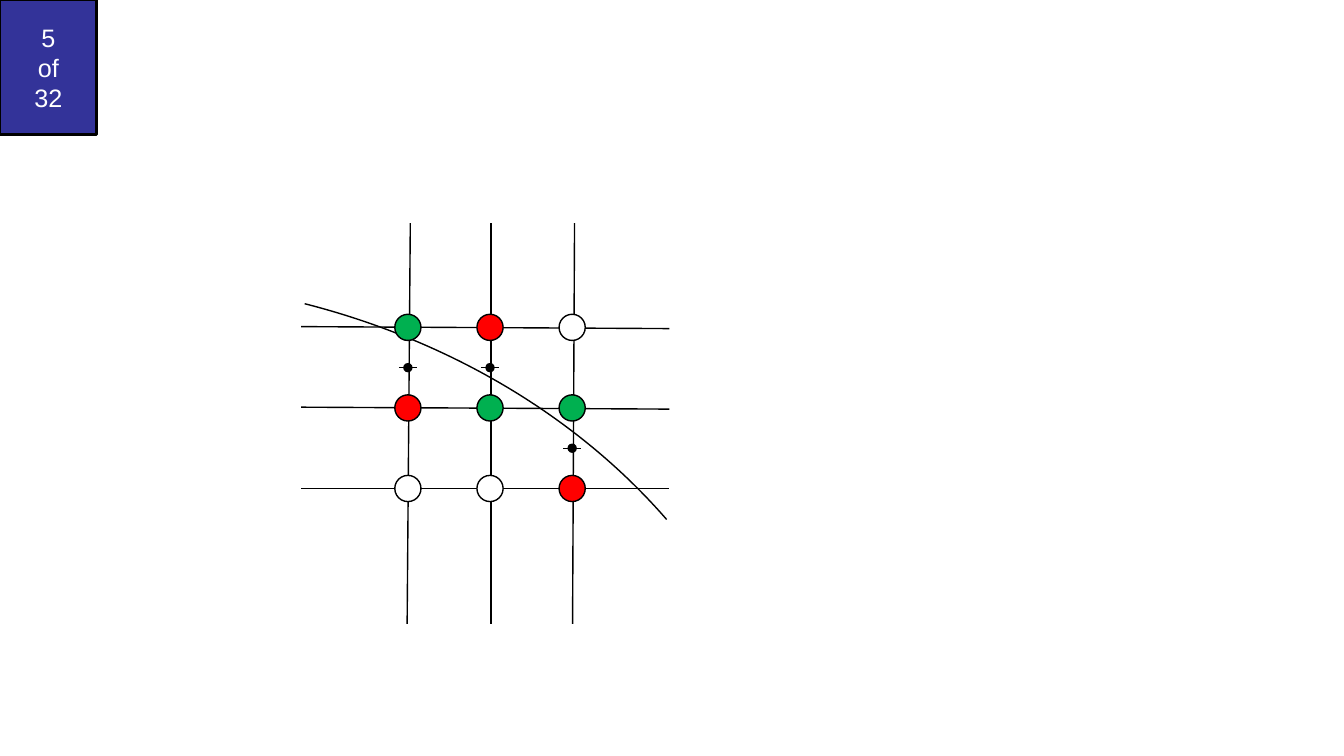
from lxml.etree import SubElement
from pptx import Presentation
from pptx.dml.color import RGBColor
from pptx.enum.shapes import MSO_CONNECTOR, MSO_SHAPE
from pptx.enum.text import MSO_ANCHOR, PP_ALIGN
from pptx.oxml.ns import qn
from pptx.util import Cm, Pt

BLACK = RGBColor(0x00, 0x00, 0x00)
WHITE = RGBColor(0xFF, 0xFF, 0xFF)
RED = RGBColor(0xFF, 0x00, 0x00)
GREEN = RGBColor(0x00, 0xB0, 0x50)
NAVY = RGBColor(0x33, 0x33, 0x99)

# Grid in centimetres: node centres and the extent of the grid lines
COLUMNS = [10.28 + 2.07 * i for i in range(3)]
ROWS = [8.25 + 2.03 * j for j in range(3)]
LEFT, RIGHT = 7.59, 16.87
TOP, BOTTOM = 5.62, 15.72
NODE_SIZE, DOT_SIZE, TICK = 0.66, 0.2, 0.46

NODE_COLORS = [
    [GREEN, RED, WHITE],
    [RED, GREEN, GREEN],
    [WHITE, WHITE, RED],
]
# Slight slant of the grid lines: offsets at both ends
ROW_SLANTS = [(-0.02, 0.03), (-0.02, 0.03), (0, 0)]
COLUMN_SLANTS = [(0.06, -0.02), (0.02, 0.02), (0.06, 0.01)]
# Midpoints between two nodes: (column, upper row)
MIDPOINTS = [(0, 0), (1, 0), (2, 1)]


def write_text(shape, text, size=18, color=BLACK, font="Arial",
               align=PP_ALIGN.CENTER, anchor=MSO_ANCHOR.MIDDLE):
    tf = shape.text_frame
    tf.word_wrap = True
    tf.vertical_anchor = anchor
    p = tf.paragraphs[0]
    p.text = text
    p.alignment = align
    for r in p.runs:
        r.font.name = font
        r.font.size = Pt(size)
        r.font.color.rgb = color


class GridSlide:
    """Draws on one slide with a shared line style."""

    def __init__(self, slide, line_color=BLACK, line_width=1):
        self.s = slide
        self.line_color = line_color
        self.line_width = line_width

    def shape(self, kind, x, y, w, h, fill=None, line_width=None):
        sp = self.s.shapes.add_shape(kind, Cm(x), Cm(y), Cm(w), Cm(h))
        sp.shadow.inherit = False
        if fill is None:
            sp.fill.background()
        else:
            sp.fill.solid()
            sp.fill.fore_color.rgb = fill
        sp.line.color.rgb = self.line_color
        sp.line.width = Pt(line_width or self.line_width)
        return sp

    def line(self, x1, y1, x2, y2):
        cx = self.s.shapes.add_connector(
            MSO_CONNECTOR.STRAIGHT, Cm(x1), Cm(y1), Cm(x2), Cm(y2))
        cx.line.color.rgb = self.line_color
        cx.line.width = Pt(self.line_width)
        SubElement(cx._element.spPr, qn("a:effectLst"))
        return cx

    def circle(self, x, y, size, fill):
        return self.shape(MSO_SHAPE.OVAL, x - size / 2, y - size / 2,
                          size, size, fill)

    def arc(self, x, y, w, h, start, end):
        sp = self.shape(MSO_SHAPE.ARC, x, y, w, h)
        sp.adjustments[0] = start
        sp.adjustments[1] = end
        return sp

    def midpoint(self, x, y):
        self.line(x - TICK / 2, y, x + TICK / 2, y)
        self.circle(x, y, DOT_SIZE, BLACK)


def main():
    prs = Presentation()
    prs.slide_width, prs.slide_height = Cm(33.87), Cm(19.05)
    grid = GridSlide(prs.slides.add_slide(prs.slide_layouts[6]))

    # Page counter
    counter = grid.shape(MSO_SHAPE.RECTANGLE, 0, 0, 2.44, 3.4, NAVY, 2)
    write_text(counter, "5\vof\v32", color=WHITE)

    # Curve
    grid.arc(-15.14, 7.01, 35.31, 29.49, 174.07, 197.26)

    # Grid lines
    for y, (start, end) in zip(ROWS, ROW_SLANTS):
        grid.line(LEFT, y + start, RIGHT, y + end)
    for x, (start, end) in zip(COLUMNS, COLUMN_SLANTS):
        grid.line(x + start, TOP, x + end, BOTTOM)

    # Nodes
    for y, colors in zip(ROWS, NODE_COLORS):
        for x, color in zip(COLUMNS, colors):
            grid.circle(x, y, NODE_SIZE, color)

    # Midpoints
    for column, row in MIDPOINTS:
        grid.midpoint(COLUMNS[column], (ROWS[row] + ROWS[row + 1]) / 2)

    prs.save("out.pptx")


if __name__ == "__main__":
    main()
